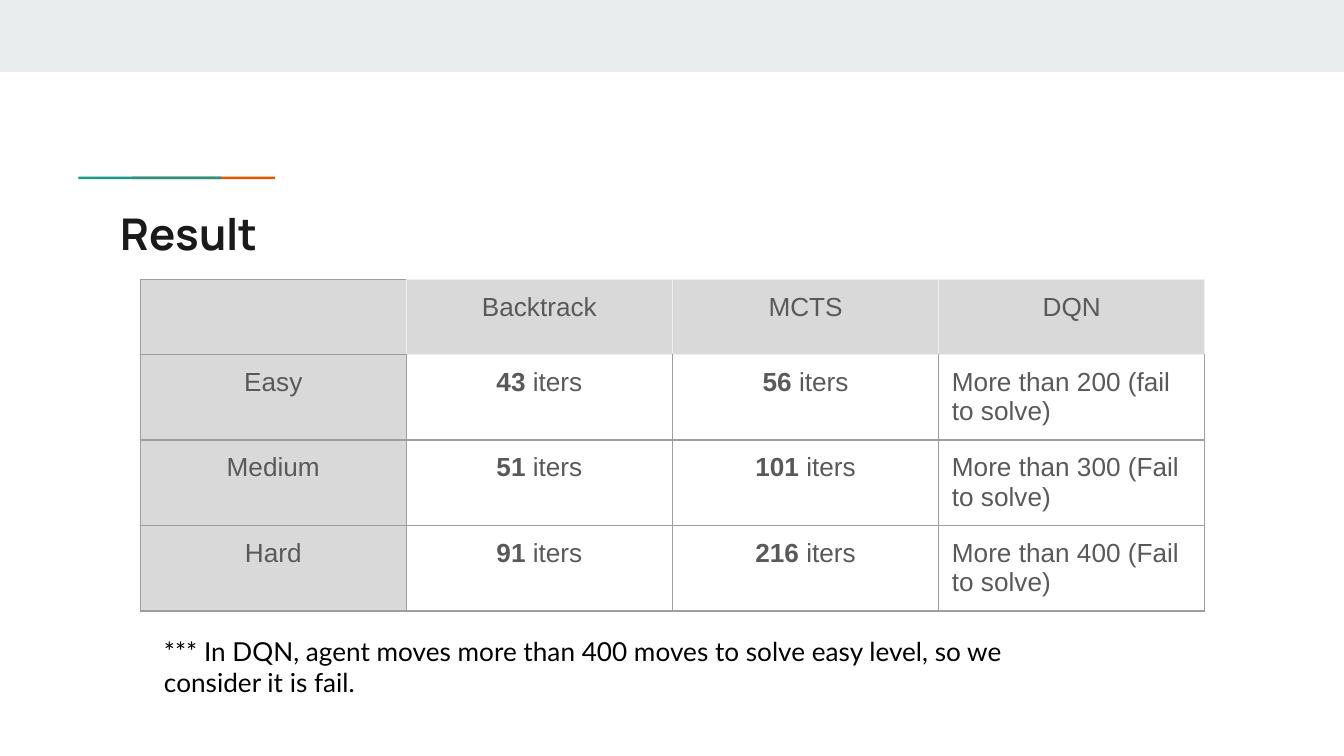
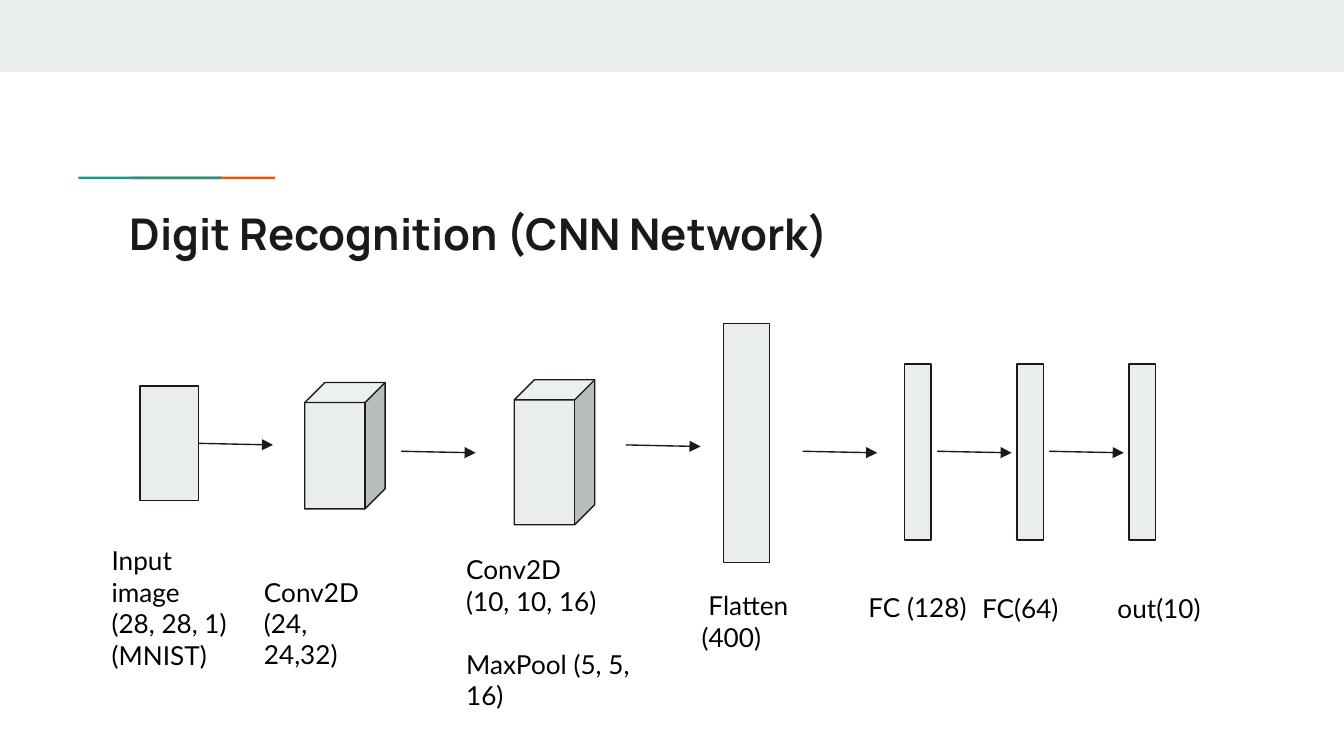
"""Build two slides: a result table and a CNN network diagram."""
import lxml.etree
import pptx
import pptx.dml.color
import pptx.enum.shapes
import pptx.enum.text
import pptx.oxml.ns
import pptx.util

Cm = pptx.util.Cm
Pt = pptx.util.Pt
qn = pptx.oxml.ns.qn
SHAPES = pptx.enum.shapes.MSO_SHAPE
ALIGN = pptx.enum.text.PP_ALIGN

COLORS = {
    "background": "FFFFFF", "band": "E9EDEE", "teal": "1A9988", "orange": "EB5600",
    "ink": "1A1A1A", "text": "000000", "table_text": "595959",
    "header": "D9D9D9", "grid": "9E9E9E", "light_grid": "EFEFEF",
}
MARGIN = Cm(0.25)
CELL_BOTTOM = Cm(0.18)
LINE_WIDTH = Pt(0.75)
SIDES = {"lnL": (0, -1), "lnR": (0, 1), "lnT": (-1, 0), "lnB": (1, 0)}


def rgb(name):
    return pptx.dml.color.RGBColor.from_string(COLORS[name])


class Deck:
    def __init__(self):
        self.presentation = pptx.Presentation()
        self.presentation.slide_width = Cm(25.4)
        self.presentation.slide_height = Cm(14.29)
        self.slide = None

    def add_slide(self, title, indent=0):
        self.slide = self.presentation.slides.add_slide(self.presentation.slide_layouts[6])
        fill = self.slide.background.fill
        fill.solid()
        fill.fore_color.rgb = rgb("background")
        self.block((0, 0, 25.4, 1.36), "band")
        self.block((2.49, 3.34, 2.71, 0.05), "orange")
        self.block((1.48, 3.34, 2.71, 0.05), "teal")
        self.label((2.03, 3.66, 21.36, 1.5), [title], 23.4, "Manrope", "ink", True, indent)

    def block(self, box, color, kind=SHAPES.RECTANGLE, outline=None):
        shape = self.slide.shapes.add_shape(kind, *map(Cm, box))
        shape.shadow.inherit = False
        shape.fill.solid()
        shape.fill.fore_color.rgb = rgb(color)
        if outline:
            shape.line.color.rgb = rgb(outline)
            shape.line.width = LINE_WIDTH
        else:
            shape.line.fill.background()
        return shape

    def style(self, run, size, font, color, bold=False):
        run.font.size = Pt(size)
        run.font.name = font
        run.font.bold = bold
        run.font.color.rgb = rgb(color)

    def label(self, box, lines, size=14, font="Lato", color="text", bold=False, indent=0):
        text_frame = self.slide.shapes.add_textbox(*map(Cm, box)).text_frame
        text_frame.word_wrap = True
        text_frame.margin_left = text_frame.margin_right = MARGIN
        text_frame.margin_top = text_frame.margin_bottom = MARGIN
        text_frame.text = "\n".join(lines)
        for paragraph in text_frame.paragraphs:
            self.style(paragraph.runs[0], size, font, color, bold)
        if indent:
            text_frame.paragraphs[0]._p.get_or_add_pPr().set("indent", str(Cm(indent)))
        return text_frame

    def arrow(self, left, top, source=None):
        connector = self.slide.shapes.add_connector(
            pptx.enum.shapes.MSO_CONNECTOR.STRAIGHT,
            Cm(left), Cm(top), Cm(left + 1.41), Cm(top + 0.03))
        if source is not None:
            connector.begin_connect(source, 3)
        connector.line.color.rgb = rgb("ink")
        connector.line.width = LINE_WIDTH
        properties = connector.element.find(qn("p:spPr"))
        lxml.etree.SubElement(properties.find(qn("a:ln")), qn("a:tailEnd"), type="triangle")
        lxml.etree.SubElement(properties, qn("a:effectLst"))

    def borders(self, cell, row, column):
        properties = cell._tc.get_or_add_tcPr()
        for index, (side, (down, right)) in enumerate(SIDES.items()):
            touching = ((row, column), (row + down, column + right))
            is_light = any(r == 0 and c > 0 for r, c in touching)
            line = lxml.etree.Element(qn("a:" + side), w=str(LINE_WIDTH))
            fill = lxml.etree.SubElement(line, qn("a:solidFill"))
            color = COLORS["light_grid" if is_light else "grid"]
            lxml.etree.SubElement(fill, qn("a:srgbClr"), val=color)
            properties.insert(index, line)

    def table(self, left, top, column_width, row_height, rows):
        count = len(rows[0])
        frame = self.slide.shapes.add_table(
            len(rows), count, Cm(left), Cm(top),
            Cm(column_width * count), Cm(row_height * len(rows)))
        table = frame.table
        table.first_row = table.horz_banding = False
        for row, values in enumerate(rows):
            for column, value in enumerate(values):
                cell = table.cell(row, column)
                cell.margin_left = cell.margin_right = cell.margin_top = MARGIN
                cell.margin_bottom = CELL_BOTTOM
                if row == 0 or column == 0:
                    cell.fill.solid()
                    cell.fill.fore_color.rgb = rgb("header")
                else:
                    cell.fill.background()
                self.borders(cell, row, column)
                paragraph = cell.text_frame.paragraphs[0]
                is_sentence = value.startswith("More")
                paragraph.alignment = ALIGN.LEFT if is_sentence else ALIGN.CENTER
                number, unit, _ = value.partition(" iters")
                for part in filter(None, (number, unit)):
                    run = paragraph.add_run()
                    run.text = part
                    self.style(run, 14, "Arial", "table_text", bool(unit) and part == number)


def build_result(deck):
    deck.add_slide("Result")
    deck.table(2.65, 5.28, 5.03, 1.42, [
        ("", "Backtrack", "MCTS", "DQN"),
        ("Easy", "43 iters", "56 iters", "More than 200 (fail to solve)"),
        ("Medium", "51 iters", "101 iters", "More than 300 (Fail to solve)"),
        ("Hard", "91 iters", "216 iters", "More than 400 (Fail to solve)"),
    ])
    deck.label((2.85, 11.76, 17.27, 1.7), [
        "*** In DQN, agent moves more than 400 moves to solve easy level, "
        "so we consider it is fail."])


def build_network(deck):
    deck.add_slide("Digit Recognition (CNN Network)", indent=0.17)
    input_layer = deck.block((2.65, 7.3, 1.1, 2.16), "band", outline="ink")
    for box in ((5.76, 7.23, 1.52, 2.39), (9.72, 7.18, 1.52, 2.74)):
        deck.block(box, "band", SHAPES.CUBE, "ink")
    deck.block((13.68, 6.12, 0.86, 4.52), "band", outline="ink")
    for index in range(3):
        deck.block((17.1 + 2.12 * index, 6.88, 0.5, 3.33), "band", outline="ink")

    deck.arrow(3.75, 8.38, input_layer)
    for left, top in ((7.58, 8.53), (11.83, 8.41), (15.17, 8.53), (17.71, 8.53), (19.83, 8.53)):
        deck.arrow(left, top)

    deck.label((1.86, 10.05, 2.84, 2.9), ["Input image", "(28, 28, 1)", "(MNIST)"])
    deck.label((4.74, 10.64, 2.7, 1.7), ["Conv2D", "(24, 24,32)"])
    pooling = deck.label((8.56, 10.22, 4.17, 3.5), ["Conv2D", "(10, 10, 16)", "MaxPool (5, 5, 16)"])
    pooling.paragraphs[2].space_before = Pt(16.8)
    deck.label((13.01, 10.9, 3.15, 1.7), ["Flatten (400)"], indent=0.13)
    deck.label((16.16, 10.92, 3.15, 1.12), ["FC (128)"])
    deck.label((18.31, 10.95, 3.53, 1.12), ["FC(64)"])
    deck.label((20.87, 10.95, 3.15, 1.12), ["out(10)"])


def main():
    deck = Deck()
    build_result(deck)
    build_network(deck)
    deck.presentation.save("out.pptx")


if __name__ == "__main__":
    main()
